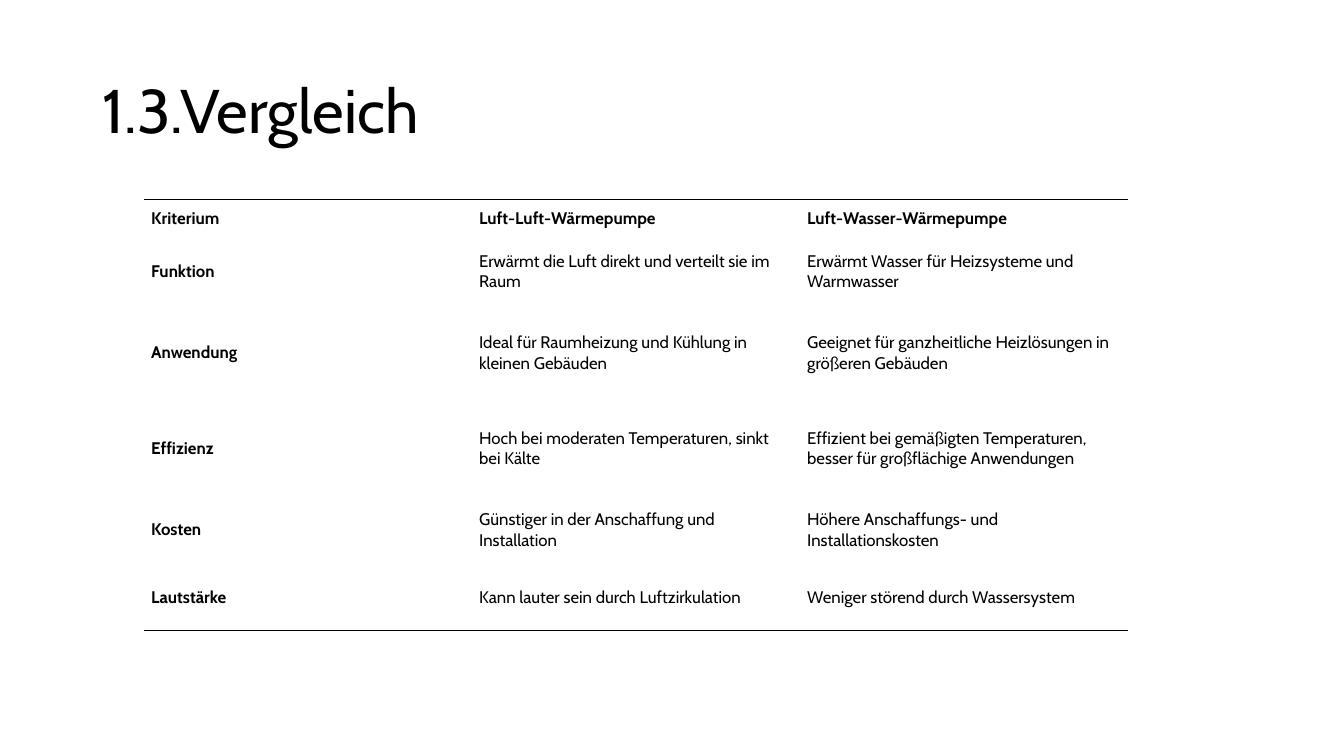
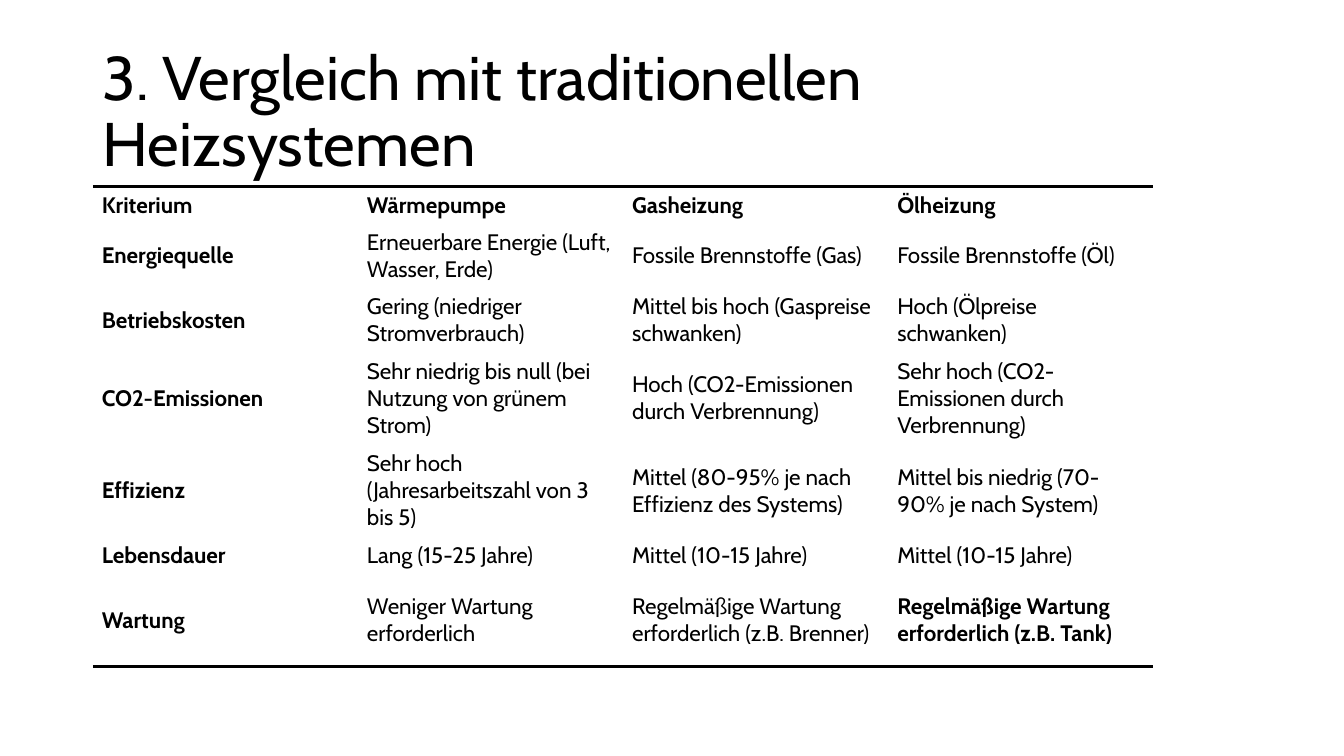
from lxml.etree import SubElement
from pptx import Presentation
from pptx.dml.color import RGBColor
from pptx.enum.text import MSO_ANCHOR, MSO_AUTO_SIZE, PP_ALIGN
from pptx.oxml import parse_xml
from pptx.oxml.ns import nsdecls, qn
from pptx.util import Inches, Pt

W, H = 13.33, 7.5
FONT = "Cabin"
INK, PAPER = "000000", "FFFFFF"
NO_STYLE = "{2D5ABB26-0587-4C30-8999-92F81FD0307C}"
TITLE_BOX = (0.92, 0.4, 11.5, 1.45)

HEAT_PUMPS = [
    ["Kriterium", "Luft-Luft-Wärmepumpe", "Luft-Wasser-Wärmepumpe"],
    ["Funktion", "Erwärmt die Luft direkt und verteilt sie im Raum",
     "Erwärmt Wasser für Heizsysteme und Warmwasser"],
    ["Anwendung", "Ideal für Raumheizung und Kühlung in kleinen Gebäuden",
     "Geeignet für ganzheitliche Heizlösungen in größeren Gebäuden"],
    ["Effizienz", "Hoch bei moderaten Temperaturen, sinkt bei Kälte",
     "Effizient bei gemäßigten Temperaturen, besser für großflächige Anwendungen"],
    ["Kosten", "Günstiger in der Anschaffung und Installation",
     "Höhere Anschaffungs- und Installationskosten"],
    ["Lautstärke", "Kann lauter sein durch Luftzirkulation",
     "Weniger störend durch Wassersystem"],
]

HEATING_SYSTEMS = [
    ["Kriterium", "Wärmepumpe", "Gasheizung", "Ölheizung"],
    ["Energiequelle", "Erneuerbare Energie (Luft, Wasser, Erde)",
     "Fossile Brennstoffe (Gas)", "Fossile Brennstoffe (Öl)"],
    ["Betriebskosten", "Gering (niedriger Stromverbrauch)",
     "Mittel bis hoch (Gaspreise schwanken)", "Hoch (Ölpreise schwanken)"],
    ["CO2-Emissionen", "Sehr niedrig bis null (bei Nutzung von grünem Strom)",
     "Hoch (CO2-Emissionen durch Verbrennung)",
     "Sehr hoch (CO2-Emissionen durch Verbrennung)"],
    ["Effizienz", "Sehr hoch (Jahresarbeitszahl von 3 bis 5)",
     "Mittel (80-95% je nach Effizienz des Systems)",
     "Mittel bis niedrig (70-90% je nach System)"],
    ["Lebensdauer", "Lang (15-25 Jahre)", "Mittel (10-15 Jahre)", "Mittel (10-15 Jahre)"],
    ["Wartung", "Weniger Wartung erforderlich",
     "Regelmäßige Wartung erforderlich (z.B. Brenner)",
     "Regelmäßige Wartung erforderlich (z.B. Tank)"],
]


def rgb(color):
    return RGBColor.from_string(color)


def style(p, size, bold=False):
    p.alignment = PP_ALIGN.LEFT
    f = p.font
    f.name, f.size, f.bold = FONT, Pt(size), bold
    f.color.rgb = rgb(INK)


def add_title(s, text, box):
    sp = s.shapes.title
    sp.left, sp.top, sp.width, sp.height = map(Inches, box)
    tf = sp.text_frame
    tf.text = text
    tf.word_wrap = True
    tf.auto_size = MSO_AUTO_SIZE.NONE
    tf.vertical_anchor = MSO_ANCHOR.MIDDLE
    p = tf.paragraphs[0]
    p.line_spacing = 0.9
    style(p, 44)


def add_rule(cell, side, width):
    ln = parse_xml(f'<a:{side} {nsdecls("a")} w="{Pt(width)}"/>')
    fill = SubElement(ln, qn("a:solidFill"))
    SubElement(fill, qn("a:srgbClr"), val=INK)
    cell._tc.get_or_add_tcPr().insert(0, ln)


def fill_cell(cell, text, size, bold, inset):
    cell.text = text
    cell.vertical_anchor = MSO_ANCHOR.MIDDLE
    cell.margin_left = cell.margin_right = Inches(inset[0])
    cell.margin_top = cell.margin_bottom = Inches(inset[1])
    cell.fill.solid()
    cell.fill.fore_color.rgb = rgb(PAPER)
    style(cell.text_frame.paragraphs[0], size, bold)


def add_comparison(s, data, box, row_heights, size, inset, rule, bold_cells=()):
    n_rows, n_cols = len(data), len(data[0])
    table = s.shapes.add_table(n_rows, n_cols, *map(Inches, box)).table
    table.horz_banding = False
    table._tbl.tblPr.find(qn("a:tableStyleId")).text = NO_STYLE
    for col in table.columns:
        col.width = Inches(box[2] / n_cols)
    for row, height in zip(table.rows, row_heights):
        row.height = Inches(box[3] * height / sum(row_heights))
    for i, texts in enumerate(data):
        for j, text in enumerate(texts):
            bold = i == 0 or j == 0 or (i, j) in bold_cells
            fill_cell(table.cell(i, j), text, size, bold, inset)
    for j in range(n_cols):
        add_rule(table.cell(0, j), "lnT", rule)
        add_rule(table.cell(n_rows - 1, j), "lnB", rule)


def add_comparison_slide(prs, title, data, box, row_heights, **look):
    s = prs.slides.add_slide(prs.slide_layouts.get_by_name("Title Only"))
    add_title(s, title, TITLE_BOX)
    add_comparison(s, data, box, row_heights, **look)


def main():
    prs = Presentation()
    prs.slide_width, prs.slide_height = Inches(W), Inches(H)
    add_comparison_slide(
        prs, "1.3.Vergleich", HEAT_PUMPS, (1.43, 1.98, 9.76, 4.28),
        [0.38, 0.67, 0.95, 0.95, 0.67, 0.67],
        size=12, inset=(0.07, 0.03), rule=1)
    add_comparison_slide(
        prs, "3. Vergleich mit traditionellen Heizsystemen", HEATING_SYSTEMS,
        (0.92, 1.85, 10.52, 4.76),
        [0.37, 0.64, 0.64, 0.92, 0.92, 0.37, 0.92],
        size=16, inset=(0.09, 0.05), rule=2, bold_cells={(6, 3)})
    prs.save("out.pptx")


if __name__ == "__main__":
    main()
